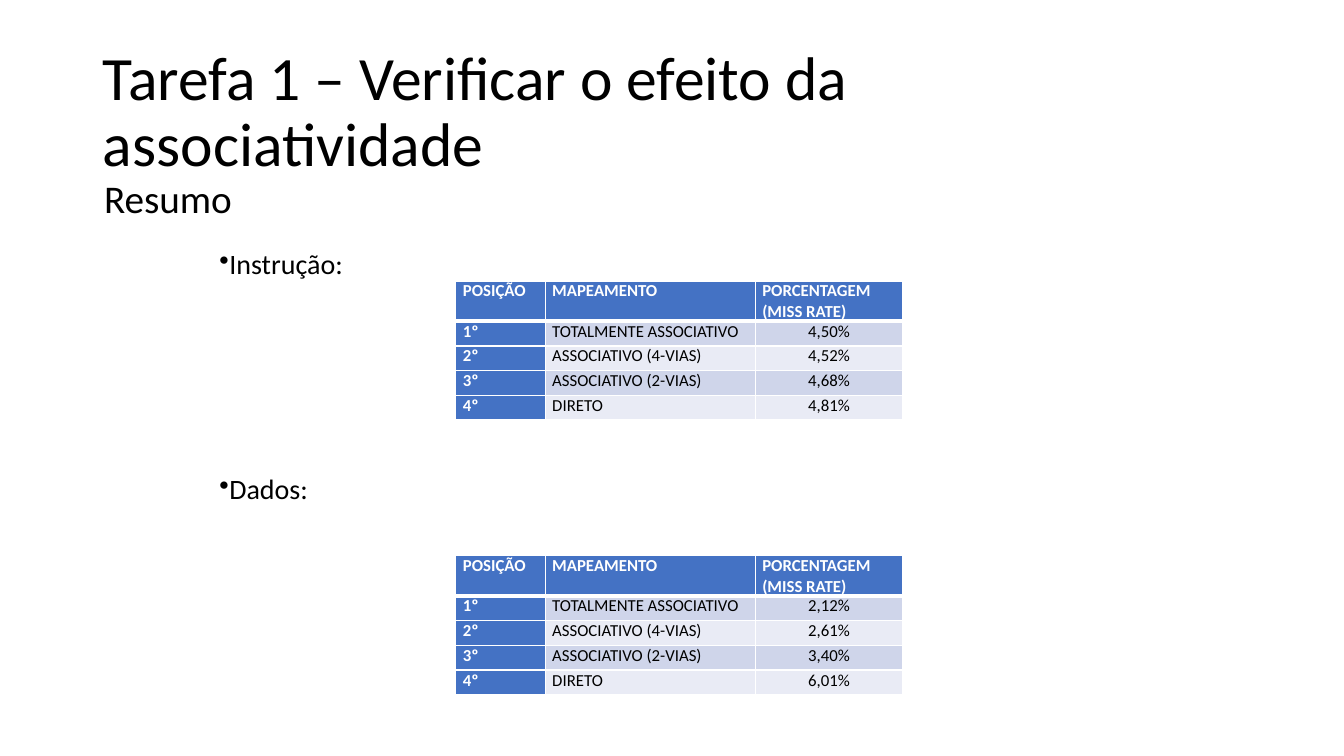
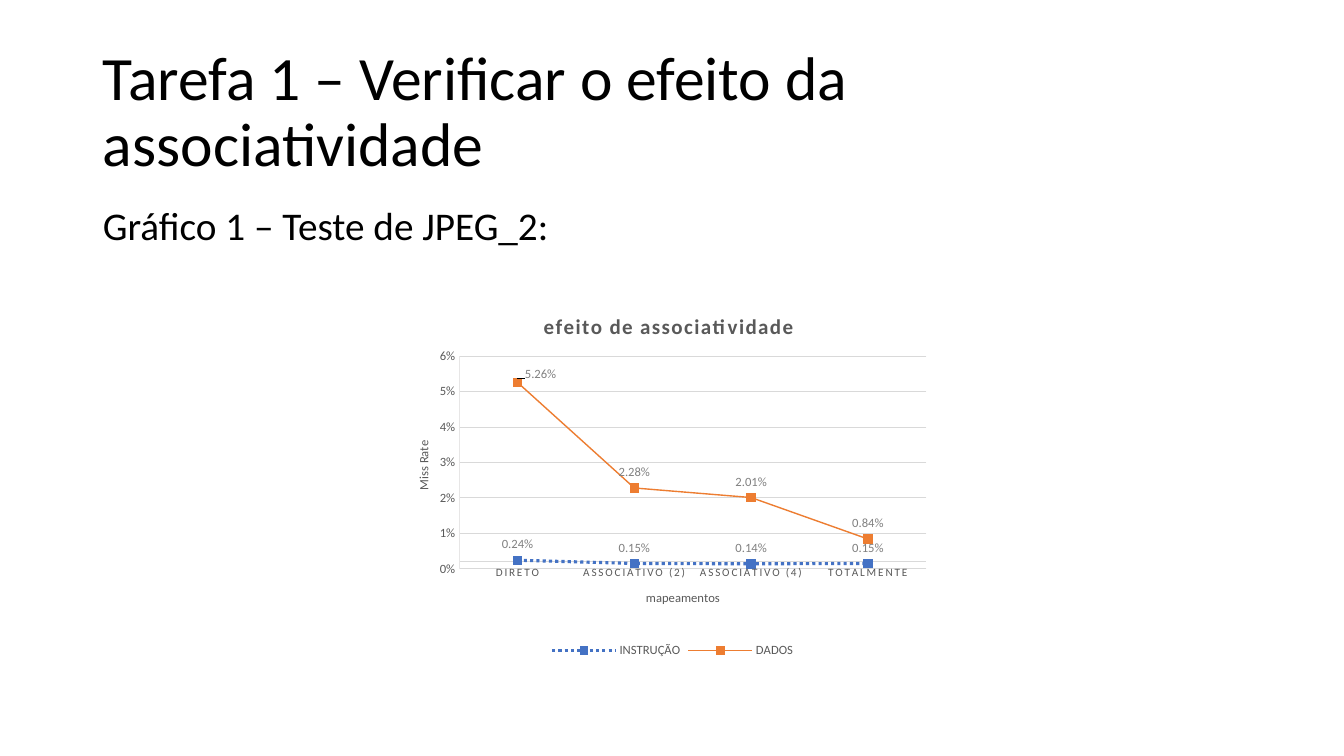
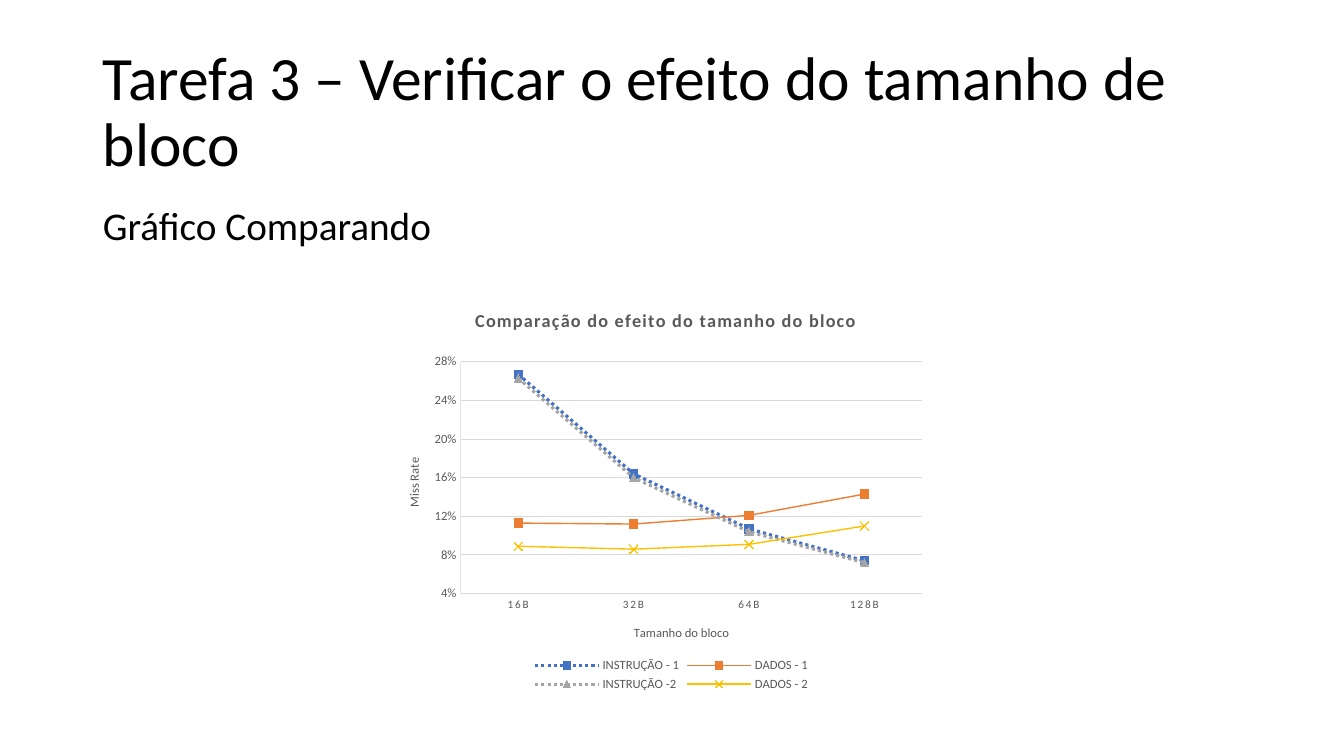
import collections

import pptx
import pptx.chart.data
import pptx.dml.color
import pptx.enum.chart
import pptx.enum.dml
import pptx.enum.text
import pptx.oxml.ns
import pptx.oxml.xmlchemy
import pptx.util

FONT = "Calibri"
BLACK, WHITE, GREY = "000000", "FFFFFF", "595959"
LABEL_GREY, GRID_GREY, AXIS_GREY = "808080", "D9D9D9", "E7E6E6"
BLUE, ORANGE, SILVER, GOLD = "4472C4", "ED7D31", "A5A5A5", "FFC000"
ROW_FILLS = ("CFD5EA", "E9EBF5")

SLIDE_WIDTH, SLIDE_HEIGHT = pptx.util.Inches(13.33), pptx.util.Inches(7.5)
GRID_COLUMNS = GRID_ROWS = 12

ALIGN = pptx.enum.text.PP_ALIGN
ANCHOR = pptx.enum.text.MSO_ANCHOR
MARKER = pptx.enum.chart.XL_MARKER_STYLE

Box = collections.namedtuple("Box", "left top width height")
Series = collections.namedtuple("Series", "name values color dotted marker")
# Title positions are (x, y) shares of the chart.
ChartTitle = collections.namedtuple("ChartTitle", "text size x y")


def grid_box(column, row, columns, rows):
    """Turn grid columns and rows into slide lengths."""
    column_width, row_height = SLIDE_WIDTH / GRID_COLUMNS, SLIDE_HEIGHT / GRID_ROWS
    return Box(int(column * column_width), int(row * row_height),
               int(columns * column_width), int(rows * row_height))


TITLE_BOX = grid_box(0.83, 0.64, 10.35, 2.32)
BODY_BOX = grid_box(0.83, 3.2, 10.35, 7.62)


def rgb(color):
    return pptx.dml.color.RGBColor.from_string(color)


def new_element(tag, **attributes):
    element = pptx.oxml.xmlchemy.OxmlElement(tag)
    for name, value in attributes.items():
        element.set(name, str(value))
    return element


def format_font(font, size, color, bold=False, spacing=0):
    """Spacing between letters is in hundredths of a point."""
    font.name, font.size, font.bold = FONT, pptx.util.Pt(size), bold
    font.color.rgb = rgb(color)
    if spacing:
        font._rPr.set("spc", str(spacing))


def write_text(frame, text, size, color=BLACK, bold=False, spacing=0,
               align=None, line_spacing=None, bullet=False):
    paragraph = frame.paragraphs[0]
    if bullet:
        properties = paragraph._p.get_or_add_pPr()
        properties.set("marL", str(pptx.util.Inches(0.5)))
        properties.set("indent", "0")
        properties.append(new_element("a:buChar", char="•"))
    if align is not None:
        paragraph.alignment = align
    if line_spacing:
        paragraph.line_spacing = line_spacing
    run = paragraph.add_run()
    run.text = text
    format_font(run.font, size, color, bold, spacing)


def add_text(slide, box, text, anchor=ANCHOR.TOP, **text_format):
    frame = slide.shapes.add_textbox(*box).text_frame
    frame.word_wrap = True
    frame.vertical_anchor = anchor
    write_text(frame, text, **text_format)


def add_titled_slide(presentation, title, subtitle, subtitle_box=BODY_BOX):
    slide = presentation.slides.add_slide(presentation.slide_layouts[6])
    add_text(slide, TITLE_BOX, title, ANCHOR.MIDDLE, size=44, line_spacing=0.9)
    add_text(slide, subtitle_box, subtitle, size=28, line_spacing=0.9)
    return slide


def set_borders(cell, bottom_width):
    properties = cell._tc.get_or_add_tcPr()
    widths = {"a:lnL": 1, "a:lnR": 1, "a:lnT": 1, "a:lnB": bottom_width}
    for index, (tag, width) in enumerate(widths.items()):
        line = new_element(tag, w=pptx.util.Pt(width))
        fill = new_element("a:solidFill")
        fill.append(new_element("a:srgbClr", val=WHITE))
        line.append(fill)
        properties.insert(index, line)


def add_ranking_table(slide, box, rates):
    mappings = ("TOTALMENTE ASSOCIATIVO", "ASSOCIATIVO (4-VIAS)",
                "ASSOCIATIVO (2-VIAS)", "DIRETO")
    rows = [("POSIÇÃO", "MAPEAMENTO", "PORCENTAGEM (MISS RATE)")]
    for position, (mapping, rate) in enumerate(zip(mappings, rates), 1):
        rows.append((f"{position}º", mapping, rate))

    table = slide.shapes.add_table(len(rows), len(rows[0]), *box).table
    for column, share in zip(table.columns, (0.2, 0.47, 0.33)):
        column.width = int(box.width * share)
    header_share = 0.29
    row_share = (1 - header_share) / len(mappings)
    for row_index, texts in enumerate(rows):
        is_header = row_index == 0
        table.rows[row_index].height = int(
            box.height * (header_share if is_header else row_share))
        for column_index, text in enumerate(texts):
            cell = table.cell(row_index, column_index)
            strong = is_header or column_index == 0
            cell.margin_left = cell.margin_right = pptx.util.Inches(0.07)
            cell.margin_top = cell.margin_bottom = 0
            cell.fill.solid()
            cell.fill.fore_color.rgb = rgb(
                BLUE if strong else ROW_FILLS[(row_index - 1) % 2])
            set_borders(cell, 3 if is_header else 1)
            centred = column_index == 2 and not is_header
            write_text(cell.text_frame, text, size=12, bold=strong,
                       color=WHITE if strong else BLACK,
                       align=ALIGN.CENTER if centred else ALIGN.LEFT)


def set_layout(parent, index, **settings):
    """Place a chart part by hand; index is where its layout element belongs."""
    layout = parent.find(pptx.oxml.ns.qn("c:layout"))
    if layout is None:
        layout = new_element("c:layout")
        parent.insert(index, layout)
    manual = new_element("c:manualLayout")
    for name, value in settings.items():
        manual.append(new_element(f"c:{name}", val=value))
    layout.append(manual)


def write_chart_title(title, content, **text_format):
    write_text(title.text_frame, content.text, content.size, GREY, **text_format)
    set_layout(title._element, 1, xMode="edge", yMode="edge",
               x=content.x, y=content.y)


def format_line(line, color, width):
    line.color.rgb = rgb(color)
    line.width = pptx.util.Pt(width)


def format_axis(axis, title, size, line_color, spacing=0):
    axis.major_tick_mark = pptx.enum.chart.XL_TICK_MARK.NONE
    axis.minor_tick_mark = pptx.enum.chart.XL_TICK_MARK.NONE
    format_font(axis.tick_labels.font, size, GREY, spacing=spacing)
    format_line(axis.format.line, line_color, 0.75)
    write_chart_title(axis.axis_title, title)


def format_series(series, content):
    series.smooth = False
    format_line(series.format.line, content.color, 2.25 if content.dotted else 1)
    if content.dotted:
        series.format.line.dash_style = pptx.enum.dml.MSO_LINE.ROUND_DOT
    marker = series.marker
    marker.style, marker.size = content.marker, 6
    format_line(marker.format.line, content.color, 0.75)
    if content.marker == MARKER.X:
        marker.format.fill.background()
    else:
        marker.format.fill.solid()
        marker.format.fill.fore_color.rgb = rgb(content.color)


def add_line_chart(slide, box, categories, all_series, title, category_title,
                   value_title, minimum, maximum, major_unit):
    data = pptx.chart.data.CategoryChartData(number_format="0.00%")
    data.categories = categories
    for content in all_series:
        data.add_series(content.name, content.values)
    chart = slide.shapes.add_chart(
        pptx.enum.chart.XL_CHART_TYPE.LINE_MARKERS, *box, data).chart
    format_font(chart.font, 10, BLACK)
    write_chart_title(chart.chart_title, title, bold=True, spacing=100)
    set_layout(chart._chartSpace.chart.plotArea, 0, layoutTarget="inner",
               xMode="edge", yMode="edge", x=0.13, y=0.18, w=0.81, h=0.57)

    chart.has_legend = True
    chart.legend.position = pptx.enum.chart.XL_LEGEND_POSITION.BOTTOM
    chart.legend.include_in_layout = False
    format_font(chart.legend.font, 9, GREY)

    format_axis(chart.category_axis, category_title, 8, GRID_GREY, spacing=120)
    value_axis = chart.value_axis
    format_axis(value_axis, value_title, 9, AXIS_GREY)
    value_axis.minimum_scale, value_axis.maximum_scale = minimum, maximum
    value_axis.major_unit = major_unit
    value_axis.tick_labels.number_format = "0%"
    value_axis.tick_labels.number_format_is_linked = False
    value_axis.has_major_gridlines = True
    format_line(value_axis.major_gridlines.format.line, GRID_GREY, 0.75)

    chart.plots[0].vary_by_categories = False
    for series, content in zip(chart.plots[0].series, all_series):
        format_series(series, content)
    return chart


def label_values(chart):
    above = pptx.enum.chart.XL_LABEL_POSITION.ABOVE
    for series in chart.plots[0].series:
        labels = series.data_labels
        labels.show_value = True
        labels.number_format = "0.00%"
        labels.number_format_is_linked = False
        labels.position = above
        format_font(labels.font, 9, LABEL_GREY)
    # The first label of the last series stands beside its steep line.
    first_label = series.points[0].data_label
    format_font(first_label.font, 9, LABEL_GREY)
    first_label.position = above
    label_element = next(series._element.iter(pptx.oxml.ns.qn("c:dLbl")))
    set_layout(label_element, 1, x=0.04, y=0.02)


def build_summary(presentation):
    slide = add_titled_slide(
        presentation, "Tarefa 1 – Verificar o efeito da associatividade",
        "Resumo", grid_box(0.84, 2.78, 10.35, 7.62))
    sections = (
        ("Instrução:", 3.84, 4.46, ("4,50%", "4,52%", "4,68%", "4,81%")),
        ("Dados:", 7.41, 8.82, ("2,12%", "2,61%", "3,40%", "6,01%")),
    )
    for label, label_row, table_row, rates in sections:
        add_text(slide, grid_box(1.42, label_row, 1.78, 0.7), label,
                 size=20, bullet=True)
        add_ranking_table(slide, grid_box(4.07, table_row, 3.99, 2.21), rates)


def build_associativity_chart(presentation):
    slide = add_titled_slide(
        presentation, "Tarefa 1 – Verificar o efeito da associatividade",
        "Gráfico 1 – Teste de JPEG_2:")
    chart = add_line_chart(
        slide, grid_box(3.43, 4.59, 5.15, 5.92),
        ("DIRETO", "ASSOCIATIVO (2)", "ASSOCIATIVO (4)", "TOTALMENTE"),
        (Series("INSTRUÇÃO", (0.0024, 0.0015, 0.0014, 0.0015), BLUE, True, MARKER.SQUARE),
         Series("DADOS", (0.0526, 0.0228, 0.0201, 0.0084), ORANGE, False, MARKER.SQUARE)),
        title=ChartTitle("efeito de associatividade", 15, 0.27, 0.05),
        category_title=ChartTitle("mapeamentos", 9, 0.45, 0.8),
        value_title=ChartTitle("Miss Rate", 9, 0.05, 0.4),
        minimum=0, maximum=0.06, major_unit=0.01)
    chart.value_axis.crosses_at = 0.002
    label_values(chart)


def build_block_size_chart(presentation):
    slide = add_titled_slide(
        presentation, "Tarefa 3 – Verificar o efeito do tamanho de bloco",
        "Gráfico Comparando")
    add_line_chart(
        slide, grid_box(3.45, 4.58, 5.09, 6.46),
        ("16B", "32B", "64B", "128B"),
        (Series("INSTRUÇÃO - 1", (0.267, 0.164, 0.107, 0.074), BLUE, True, MARKER.SQUARE),
         Series("DADOS - 1", (0.113, 0.112, 0.121, 0.143), ORANGE, False, MARKER.SQUARE),
         Series("INSTRUÇÃO -2", (0.263, 0.16, 0.104, 0.072), SILVER, True, MARKER.TRIANGLE),
         Series("DADOS - 2", (0.089, 0.086, 0.091, 0.11), GOLD, False, MARKER.X)),
        title=ChartTitle("Comparação do efeito do tamanho do bloco", 13, 0.15, 0.04),
        category_title=ChartTitle("Tamanho do bloco", 9, 0.43, 0.82),
        value_title=ChartTitle("Miss Rate", 9, 0.03, 0.41),
        minimum=0.04, maximum=0.28, major_unit=0.04)


def main():
    presentation = pptx.Presentation()
    presentation.slide_width, presentation.slide_height = SLIDE_WIDTH, SLIDE_HEIGHT
    build_summary(presentation)
    build_associativity_chart(presentation)
    build_block_size_chart(presentation)
    presentation.save("out.pptx")


if __name__ == "__main__":
    main()
